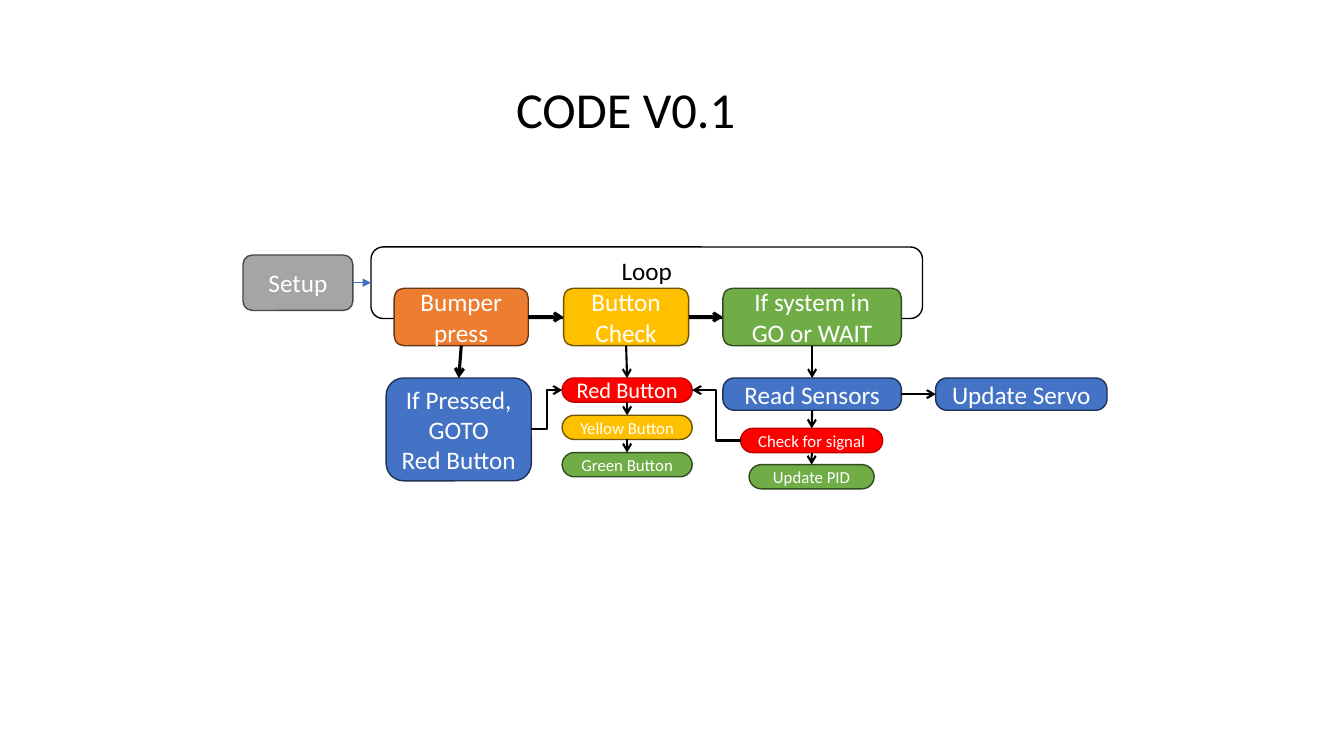
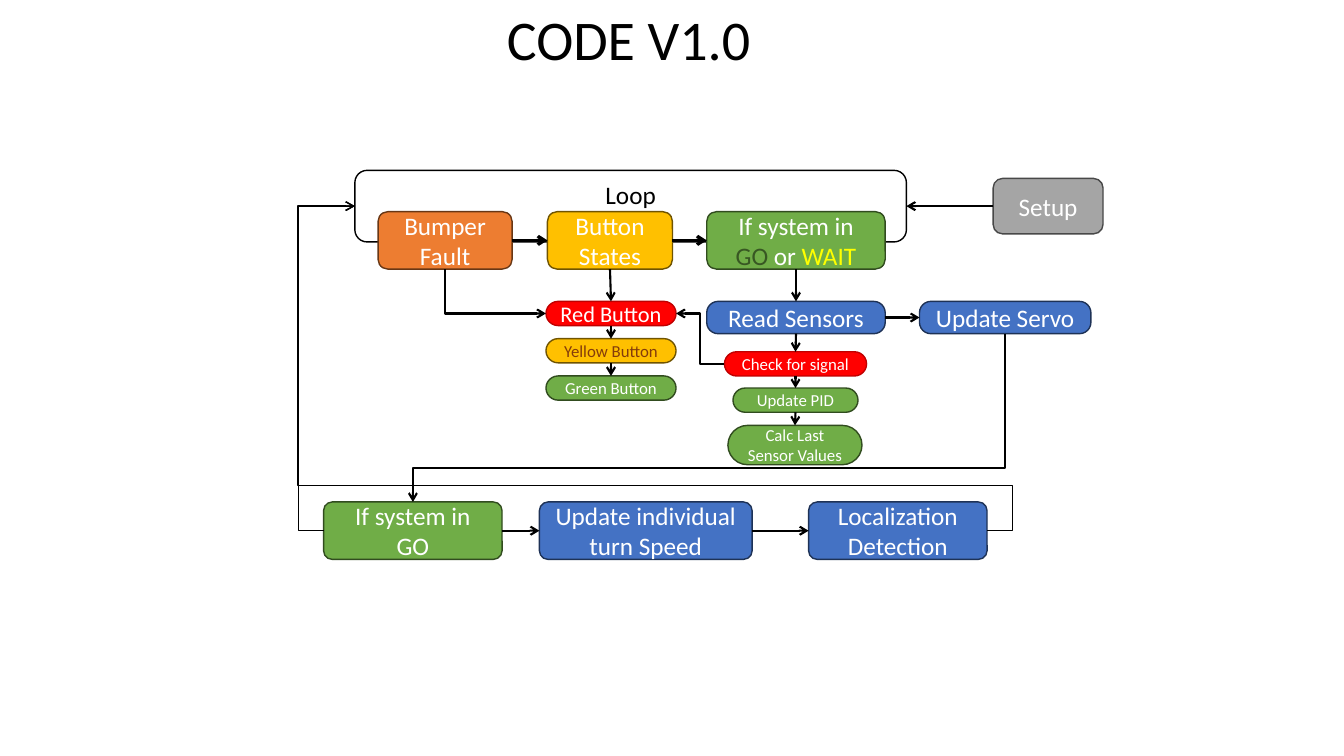
import dataclasses
import itertools

import pptx
import pptx.dml.color
import pptx.enum.shapes
import pptx.enum.text
import pptx.oxml.ns
import pptx.util
from pptx.util import Inches

qn = pptx.oxml.ns.qn
SHAPE = pptx.enum.shapes.MSO_SHAPE
CONNECTOR = pptx.enum.shapes.MSO_CONNECTOR
ALIGN = pptx.enum.text.PP_ALIGN
ANCHOR = pptx.enum.text.MSO_ANCHOR
TOP, LEFT, BOTTOM, RIGHT = range(4)


@dataclasses.dataclass(frozen=True)
class Theme:
    font = "Calibri"
    white = "FFFFFF"
    black = "000000"
    blue = "4472C4"
    dark_green = "385723"
    brown = "843C0B"
    yellow = "FFFF00"
    body = 18
    red_button = 16
    small = 12
    outline = 1
    thin = 0.5
    arrow = 1.5
    thick = 2.25
    fills = {
        "gray": ("A5A5A5", "484848"),
        "white": (white, black),
        "orange": ("ED7D31", "683715"),
        "gold": ("FFC000", "705400"),
        "green": ("70AD47", "314C1F"),
        "blue": (blue, "1E3256"),
        "red": ("FF0000", "C00000"),
    }


T = Theme()


def rgb(color):
    return pptx.dml.color.RGBColor.from_string(color)


def write(tf, paragraphs, size=T.body, color=T.white, align=ALIGN.CENTER):
    if isinstance(paragraphs, str):
        paragraphs = [[(line, color)] for line in paragraphs.split("\n")]
    for i, runs in enumerate(paragraphs):
        p = tf.add_paragraph() if i else tf.paragraphs[0]
        p.alignment = align
        for text, run_color in runs:
            r = p.add_run()
            r.text = text
            r.font.name = T.font
            r.font.size = pptx.util.Pt(size)
            r.font.color.rgb = rgb(run_color)


def title(s, text, x, y, w, h, size):
    sp = s.shapes.add_textbox(Inches(x), Inches(y), Inches(w), Inches(h))
    sp.text_frame.word_wrap = False
    sp.text_frame.auto_size = pptx.enum.text.MSO_AUTO_SIZE.SHAPE_TO_FIT_TEXT
    write(sp.text_frame, text, size=size, color=T.black, align=ALIGN.LEFT)


def box(s, text, kind, x, y, w, h, radius=0.17, anchor=ANCHOR.MIDDLE, **fmt):
    fill, line = T.fills[kind]
    sp = s.shapes.add_shape(SHAPE.ROUNDED_RECTANGLE,
                            Inches(x), Inches(y), Inches(w), Inches(h))
    sp.shadow.inherit = False
    sp.adjustments[0] = radius
    sp.fill.solid()
    sp.fill.fore_color.rgb = rgb(fill)
    sp.line.color.rgb = rgb(line)
    sp.line.width = pptx.util.Pt(T.outline)
    sp.text_frame.word_wrap = True
    sp.text_frame.vertical_anchor = anchor
    write(sp.text_frame, text, **fmt)
    return sp


def pills(s, items, center, y, pitch, h=0.24):
    return [box(s, text, kind, center - w / 2, y + i * pitch, w, h, radius=0.5,
                **{"size": T.small, **fmt})
            for i, (text, kind, w, fmt) in enumerate(items)]


def link(s, start, start_side, end, end_side, width=T.arrow, color=T.black,
         head="arrow", shape=CONNECTOR.STRAIGHT):
    c = s.shapes.add_connector(shape, 0, 0, 0, 0)
    c.begin_connect(start, start_side)
    c.end_connect(end, end_side)
    c.line.color.rgb = rgb(color)
    c.line.width = pptx.util.Pt(width)
    sppr = c.element.spPr
    ln = sppr.find(qn("a:ln"))
    ln.append(ln.makeelement(qn("a:tailEnd"), {"type": head}))
    sppr.append(sppr.makeelement(qn("a:effectLst"), {}))
    return c


def bend(s, start, start_side, end, end_side, segments=3, rot=0, flip="",
         adj=(), **fmt):
    c = link(s, start, start_side, end, end_side, shape=CONNECTOR.ELBOW, **fmt)
    mid_x, mid_y = (c.begin_x + c.end_x) // 2, (c.begin_y + c.end_y) // 2
    w, h = abs(c.end_x - c.begin_x), abs(c.end_y - c.begin_y)
    if rot % 180:
        w, h = h, w
    c.left, c.top, c.width, c.height = mid_x - w // 2, mid_y - h // 2, w, h
    xfrm = c.element.spPr.find(qn("a:xfrm"))
    xfrm.set("rot", str(rot * 60000))
    xfrm.set("flipH", str(int("h" in flip)))
    xfrm.set("flipV", str(int("v" in flip)))
    geom = c.element.spPr.find(qn("a:prstGeom"))
    geom.set("prst", f"bentConnector{segments}")
    guides = geom.find(qn("a:avLst"))
    for i, value in enumerate(adj, 1):
        guides.append(guides.makeelement(
            qn("a:gd"),
            {"name": f"adj{i}", "fmla": f"val {round(value * 100000)}"}))


def chain(s, boxes, start_side, end_side, **fmt):
    for start, end in itertools.pairwise(boxes):
        link(s, start, start_side, end, end_side, **fmt)


def loop_flow(s, x, y, bumper, button, system, yellow_text=T.white, extra=()):
    loop = box(s, "Loop", "white", x, y, 5.47, 0.71, anchor=ANCHOR.TOP,
               color=T.black)
    steps = [box(s, text, kind, x + dx, y + 0.41, w, 0.57)
             for text, kind, dx, w in ((bumper, "orange", 0.23, 1.33),
                                       (button, "gold", 1.91, 1.24),
                                       (system, "green", 3.49, 1.77))]
    chain(s, steps, RIGHT, LEFT, width=T.thick)

    buttons = pills(s, [
        ("Red Button", "red", 1.29, {"size": T.red_button}),
        ("Yellow Button", "gold", 1.29, {"color": yellow_text}),
        ("Green Button", "green", 1.29, {}),
    ], x + 2.54, y + 1.3, 0.37)
    chain(s, [steps[1], *buttons], BOTTOM, TOP)

    sensors, servo = [
        box(s, text, "blue", x + dx, y + 1.3, w, 0.32, radius=0.35)
        for text, dx, w in (("Read Sensors", 3.49, 1.77),
                            ("Update Servo", 5.6, 1.7))]
    link(s, sensors, RIGHT, servo, LEFT)
    checks = pills(s, [("Check for signal", "red", 1.41, {}),
                       ("Update PID", "green", 1.24, {})],
                   x + 4.37, y + 1.8, 0.36)
    checks += [box(s, text, "green", x + 3.7, y + 2.53, 1.33, 0.39,
                   radius=0.5, size=T.small) for text in extra]
    chain(s, [steps[2], sensors, *checks], BOTTOM, TOP)
    bend(s, checks[0], LEFT, buttons[0], RIGHT, rot=180, adj=(0.5,))
    return loop, steps[0], buttons[0], servo


def setup(s, x, y):
    return box(s, "Setup", "gray", x, y, 1.09, 0.55)


def version_0_1(s):
    title(s, "CODE V0.1", 5.02, 0.73, 2.4, 0.71, 36)
    loop, bumper, red, _ = loop_flow(
        s, 3.68, 2.45, "Bumper\npress", "Button Check",
        "If system in GO or WAIT")
    link(s, setup(s, 2.41, 2.53), RIGHT, loop, LEFT, width=T.thin,
         color=T.blue, head="triangle")
    pressed = box(s, "If Pressed, GOTO\nRed Button", "blue",
                  3.83, 3.75, 1.44, 1.02)
    link(s, bumper, BOTTOM, pressed, TOP, width=T.thick)
    bend(s, pressed, RIGHT, red, LEFT, flip="v", adj=(0.5,))


def version_1_0(s):
    title(s, "CODE V1.0", 4.93, 0, 2.64, 0.77, 40)
    system = [[("If system in ", T.white), ("GO", T.dark_green),
               (" or ", T.white), ("WAIT", T.yellow)]]
    loop, bumper, red, servo = loop_flow(
        s, 3.52, 1.69, "Bumper\nFault", "Button States", system,
        yellow_text=T.brown, extra=["Calc Last Sensor Values"])
    link(s, setup(s, 9.85, 1.77), LEFT, loop, RIGHT)
    bend(s, bumper, BOTTOM, red, LEFT, segments=2, rot=270, flip="h")

    go_steps = [box(s, text, kind, x, 4.98, w, 0.57, radius=0.15)
                for text, kind, x, w in (
                    ("If system in GO", "green", 3.21, 1.77),
                    ("Update individual turn Speed", "blue", 5.35, 2.11),
                    ("Localization Detection", "blue", 8.02, 1.77))]
    chain(s, go_steps, RIGHT, LEFT)
    bend(s, servo, BOTTOM, go_steps[0], TOP, rot=90, adj=(0.8,))
    bend(s, go_steps[0], LEFT, loop, LEFT, rot=180, flip="h", adj=(-0.81,),
         width=T.outline)
    bend(s, go_steps[-1], RIGHT, loop, LEFT, segments=5, flip="hv",
         adj=(-0.04, 0.14, 1.09), width=T.outline)


def main():
    prs = pptx.Presentation()
    prs.slide_width, prs.slide_height = Inches(13.33), Inches(7.5)
    for build in (version_0_1, version_1_0):
        build(prs.slides.add_slide(prs.slide_layouts[6]))
    prs.save("out.pptx")


if __name__ == "__main__":
    main()
